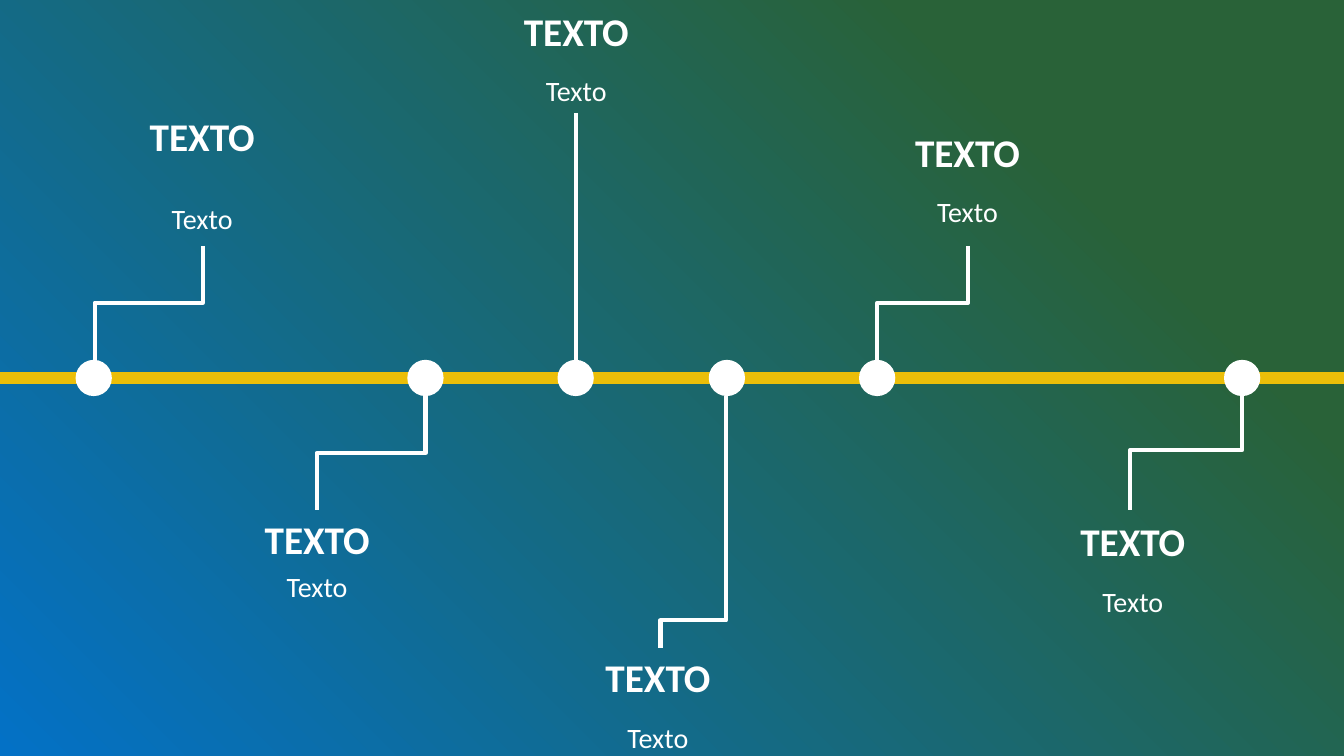
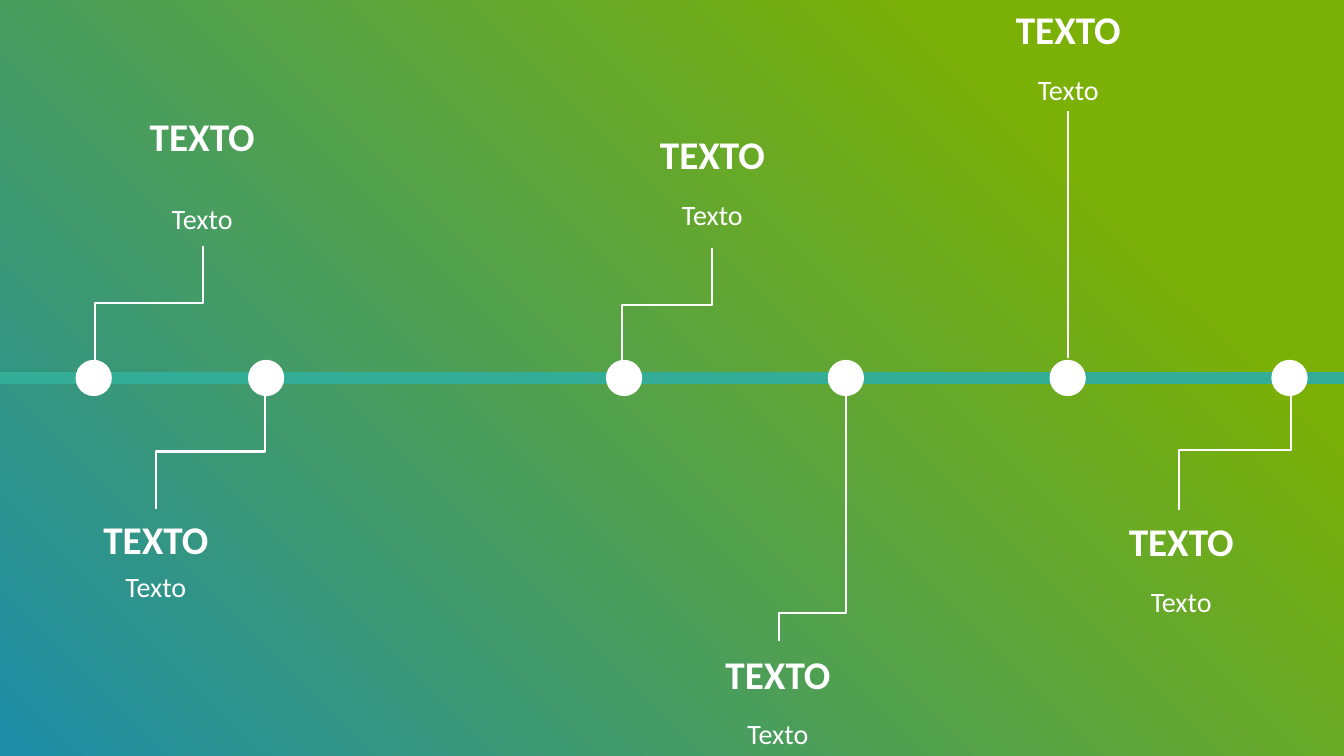
from dataclasses import dataclass

from lxml.etree import SubElement
from pptx import Presentation
from pptx.dml.color import RGBColor
from pptx.enum.shapes import MSO_CONNECTOR, MSO_SHAPE
from pptx.enum.text import MSO_AUTO_SIZE, PP_ALIGN
from pptx.oxml.ns import qn
from pptx.util import Inches, Pt

SLIDE_WIDTH, SLIDE_HEIGHT = 13.33, 7.5


def color(hex_value):
    return RGBColor.from_string(hex_value)


@dataclass
class Milestone:
    dot_left: float
    stem_top: tuple
    stem_bottom: tuple
    label_left: float
    heading_top: float
    detail_top: float
    bend: float = 0.5


class TimelineDeck:
    FONT = "Calibri"
    INK = "FFFFFF"
    AXIS_Y = 3.75
    DOT_SIZE = 0.36
    LABEL_WIDTH = 2.75

    def __init__(self):
        self.presentation = Presentation()
        self.presentation.slide_width = Inches(SLIDE_WIDTH)
        self.presentation.slide_height = Inches(SLIDE_HEIGHT)
        self.slide = None

    def new_slide(self):
        blank_layout = self.presentation.slide_layouts[6]
        self.slide = self.presentation.slides.add_slide(blank_layout)

    def shape(self, preset, left, top, width, height):
        shape = self.slide.shapes.add_shape(
            preset, Inches(left), Inches(top), Inches(width), Inches(height))
        shape.shadow.inherit = False
        shape.line.fill.background()
        return shape

    def backdrop(self, start_color, end_color, end_position):
        backdrop = self.shape(MSO_SHAPE.RECTANGLE, 0, 0, SLIDE_WIDTH, SLIDE_HEIGHT)
        backdrop.fill.gradient()
        backdrop.fill.gradient_angle = 45
        stops = backdrop.fill.gradient_stops
        for stop, hex_value, position in zip(
                stops, (start_color, end_color), (0, end_position)):
            stop.color.rgb = color(hex_value)
            stop.position = position

    def line(self, shapes, kind, start, end, hex_value, weight):
        line = shapes.add_connector(
            kind, *(Inches(length) for length in (*start, *end)))
        line.line.color.rgb = color(hex_value)
        line.line.width = Pt(weight)
        SubElement(line._element.spPr, qn("a:effectLst"))
        return line

    def axis(self, hex_value):
        self.line(self.slide.shapes, MSO_CONNECTOR.STRAIGHT,
                  (0, self.AXIS_Y), (SLIDE_WIDTH, self.AXIS_Y), hex_value, 8)

    def dot(self, left):
        dot = self.shape(MSO_SHAPE.OVAL, left, self.AXIS_Y - self.DOT_SIZE / 2,
                         self.DOT_SIZE, self.DOT_SIZE)
        dot.fill.solid()
        dot.fill.fore_color.rgb = color(self.INK)

    def stem(self, shapes, top, bottom, bend, weight):
        if top[0] == bottom[0]:
            self.line(shapes, MSO_CONNECTOR.STRAIGHT, top, bottom, self.INK, weight)
            return
        center_x, center_y = (top[0] + bottom[0]) / 2, (top[1] + bottom[1]) / 2
        half_run, half_drop = (top[0] - bottom[0]) / 2, (bottom[1] - top[1]) / 2
        elbow = self.line(shapes, MSO_CONNECTOR.ELBOW,
                          (center_x - half_drop, center_y - half_run),
                          (center_x + half_drop, center_y + half_run),
                          self.INK, weight)
        properties = elbow._element.spPr
        properties.find(qn("a:xfrm")).set("rot", str(90 * 60000))
        adjustments = properties.find(qn("a:prstGeom")).find(qn("a:avLst"))
        SubElement(adjustments, qn("a:gd"), name="adj1",
                   fmla=f"val {round(bend * 100000)}")

    def label(self, shapes, text, left, top, height, size, bold=False):
        label = shapes.add_textbox(Inches(left), Inches(top),
                                   Inches(self.LABEL_WIDTH), Inches(height))
        frame = label.text_frame
        frame.word_wrap = True
        frame.auto_size = MSO_AUTO_SIZE.SHAPE_TO_FIT_TEXT
        frame.text = text
        paragraph = frame.paragraphs[0]
        paragraph.alignment = PP_ALIGN.CENTER
        font = paragraph.runs[0].font
        font.name = self.FONT
        font.size = Pt(size)
        font.bold = bold
        font.color.rgb = color(self.INK)

    def callout(self, milestone, weight):
        shapes = self.slide.shapes.add_group_shape().shapes
        self.stem(shapes, milestone.stem_top, milestone.stem_bottom,
                  milestone.bend, weight)
        self.label(shapes, "TEXTO", milestone.label_left,
                   milestone.heading_top, 0.57, 28, bold=True)
        self.label(shapes, "Texto", milestone.label_left,
                   milestone.detail_top, 0.44, 20)

    def timeline(self, gradient, axis_color, stem_weight, milestones):
        self.new_slide()
        self.backdrop(*gradient)
        self.axis(axis_color)
        for milestone in milestones:
            self.dot(milestone.dot_left)
        for milestone in milestones:
            self.callout(milestone, stem_weight)


FIRST_MILESTONE = Milestone(0.75, (2.01, 2.44), (0.94, 3.57), 0.63, 1.07, 1.95)

BLUE_MILESTONES = [
    FIRST_MILESTONE,
    Milestone(4.04, (4.22, 3.93), (3.14, 5.06), 1.77, 5.06, 5.6),
    Milestone(5.53, (5.71, 1.12), (5.71, 3.57), 4.34, 0.02, 0.68),
    Milestone(7.03, (7.2, 3.93), (6.55, 6.43), 5.15, 6.43, 7.1, bend=0.89),
    Milestone(8.52, (9.6, 2.44), (8.7, 3.57), 8.22, 1.22, 1.88),
    Milestone(12.14, (12.32, 3.87), (11.21, 5.06), 9.86, 5.08, 5.75),
]

GREEN_MILESTONES = [
    FIRST_MILESTONE,
    Milestone(2.46, (2.63, 3.91), (1.55, 5.05), 0.17, 5.06, 5.6),
    Milestone(6.01, (7.06, 2.46), (6.17, 3.59), 5.69, 1.24, 1.91),
    Milestone(8.21, (8.39, 3.86), (7.73, 6.36), 6.34, 6.4, 7.06, bend=0.89),
    Milestone(10.41, (10.59, 1.1), (10.59, 3.55), 9.22, 0, 0.67),
    Milestone(12.61, (12.8, 3.87), (11.69, 5.06), 10.34, 5.08, 5.75),
]


def main():
    deck = TimelineDeck()
    deck.timeline(("0371C6", "296238", 0.79), "EBBE09", 3, BLUE_MILESTONES)
    deck.timeline(("1E8DA8", "7BB006", 0.8), "34AD97", 1.5, GREEN_MILESTONES)
    deck.presentation.save("out.pptx")


if __name__ == "__main__":
    main()
